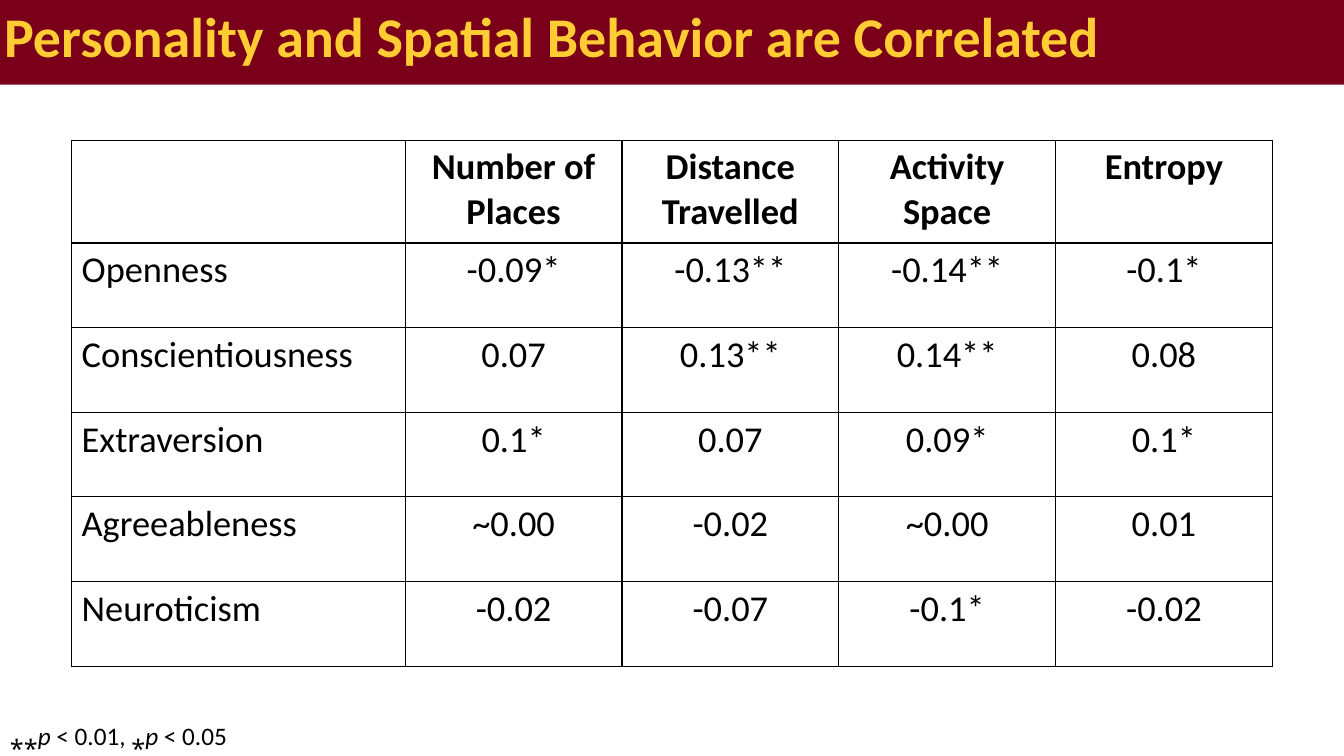
from dataclasses import dataclass

from lxml.etree import SubElement
from pptx import Presentation
from pptx.dml.color import RGBColor
from pptx.enum.text import MSO_ANCHOR as Anchor, MSO_AUTO_SIZE as AutoSize, PP_ALIGN as Align
from pptx.oxml.ns import qn
from pptx.util import Inches, Pt


@dataclass(frozen=True)
class Theme:
    """Colours, font and type sizes of the deck."""
    maroon: str = "7A0019"
    gold: str = "FFCC33"
    black: str = "000000"
    font: str = "Calibri"
    title_size: int = 40
    table_size: int = 26
    note_size: int = 18


THEME = Theme()
HEADINGS = ["", "Number of Places", "Distance Travelled", "Activity Space", "Entropy"]
CORRELATIONS = [
    ["Openness", "-0.09*", "-0.13**", "-0.14**", "-0.1*"],
    ["Conscientiousness", "0.07", "0.13**", "0.14**", "0.08"],
    ["Extraversion", "0.1*", "0.07", "0.09*", "0.1*"],
    ["Agreeableness", "~0.00", "-0.02", "~0.00", "0.01"],
    ["Neuroticism", "-0.02", "-0.07", "-0.1*", "-0.02"],
]
NOTE_SPANS = [("⁎⁎", False), ("p", True), (" < 0.01, ⁎", False), ("p", True), (" < 0.05", False)]


def style(font, size, color, bold=False, italic=False):
    """Apply the theme font with the given size, colour and emphasis."""
    font.name = THEME.font
    font.size = Pt(size)
    font.color.rgb = RGBColor.from_string(color)
    font.bold = bold
    font.italic = italic


def add_borders(cell):
    """Draw a thin black line on every side of a cell."""
    properties = cell._tc.get_or_add_tcPr()
    for position, side in enumerate(("a:lnL", "a:lnR", "a:lnT", "a:lnB")):
        line = SubElement(properties, qn(side), w=str(Pt(1)))
        fill = SubElement(line, qn("a:solidFill"))
        SubElement(fill, qn("a:srgbClr"), val=THEME.black)
        properties.remove(line)
        properties.insert(position, line)


def place_title(page, left, top, width, height):
    """Turn the title placeholder into the coloured banner."""
    title = page.shapes.title
    title.left, title.top = Inches(left), Inches(top)
    title.width, title.height = Inches(width), Inches(height)
    title.fill.solid()
    title.fill.fore_color.rgb = RGBColor.from_string(THEME.maroon)
    frame = title.text_frame
    frame.text = "Personality and Spatial Behavior are Correlated"
    frame.word_wrap = True
    frame.auto_size = AutoSize.NONE
    frame.vertical_anchor = Anchor.MIDDLE
    frame.margin_left = frame.margin_right = Inches(0.07)
    frame.margin_top = frame.margin_bottom = Inches(0.04)
    para = frame.paragraphs[0]
    para.alignment = Align.LEFT
    para.line_spacing = 0.9
    style(para.runs[0].font, THEME.title_size, THEME.gold, bold=True)


def place_table(page, left, top, width, height):
    """Add the table of correlations, with a wider first column and a taller header."""
    rows = [HEADINGS] + CORRELATIONS
    label_width, header_height = 3.31, 1.02
    table = page.shapes.add_table(
        len(rows), len(HEADINGS), Inches(left), Inches(top), Inches(width), Inches(height)
    ).table
    table.horz_banding = False
    for index, column in enumerate(table.columns):
        share = (width - label_width) / (len(HEADINGS) - 1)
        column.width = Inches(share if index else label_width)
    for index, row in enumerate(table.rows):
        share = (height - header_height) / len(CORRELATIONS)
        row.height = Inches(share if index else header_height)
    for row_index, values in enumerate(rows):
        for column_index, value in enumerate(values):
            cell = table.cell(row_index, column_index)
            cell.text = value
            cell.fill.background()
            para = cell.text_frame.paragraphs[0]
            para.alignment = Align.CENTER if column_index else Align.LEFT
            style(para.font, THEME.table_size, THEME.black)
            for span in para.runs:
                style(span.font, THEME.table_size, THEME.black, bold=row_index == 0)
            add_borders(cell)


def place_note(page, left, top, width, height):
    """Add the significance note with italic p symbols."""
    box = page.shapes.add_textbox(Inches(left), Inches(top), Inches(width), Inches(height))
    frame = box.text_frame
    frame.word_wrap = True
    frame.auto_size = AutoSize.SHAPE_TO_FIT_TEXT
    para = frame.paragraphs[0]
    for text, italic in NOTE_SPANS:
        span = para.add_run()
        span.text = text
        style(span.font, THEME.note_size, THEME.black, italic=italic)


def main():
    """Build the slide and save the deck."""
    deck = Presentation()
    deck.slide_width, deck.slide_height = Inches(13.33), Inches(7.5)
    page = deck.slides.add_slide(deck.slide_layouts.get_by_name("Title Only"))
    place_note(page, 0, 7.1, 6.67, 0.4)
    place_table(page, 0.71, 1.39, 11.91, 5.22)
    place_title(page, -0.03, -0.05, 13.39, 0.89)
    deck.save("out.pptx")


if __name__ == "__main__":
    main()
